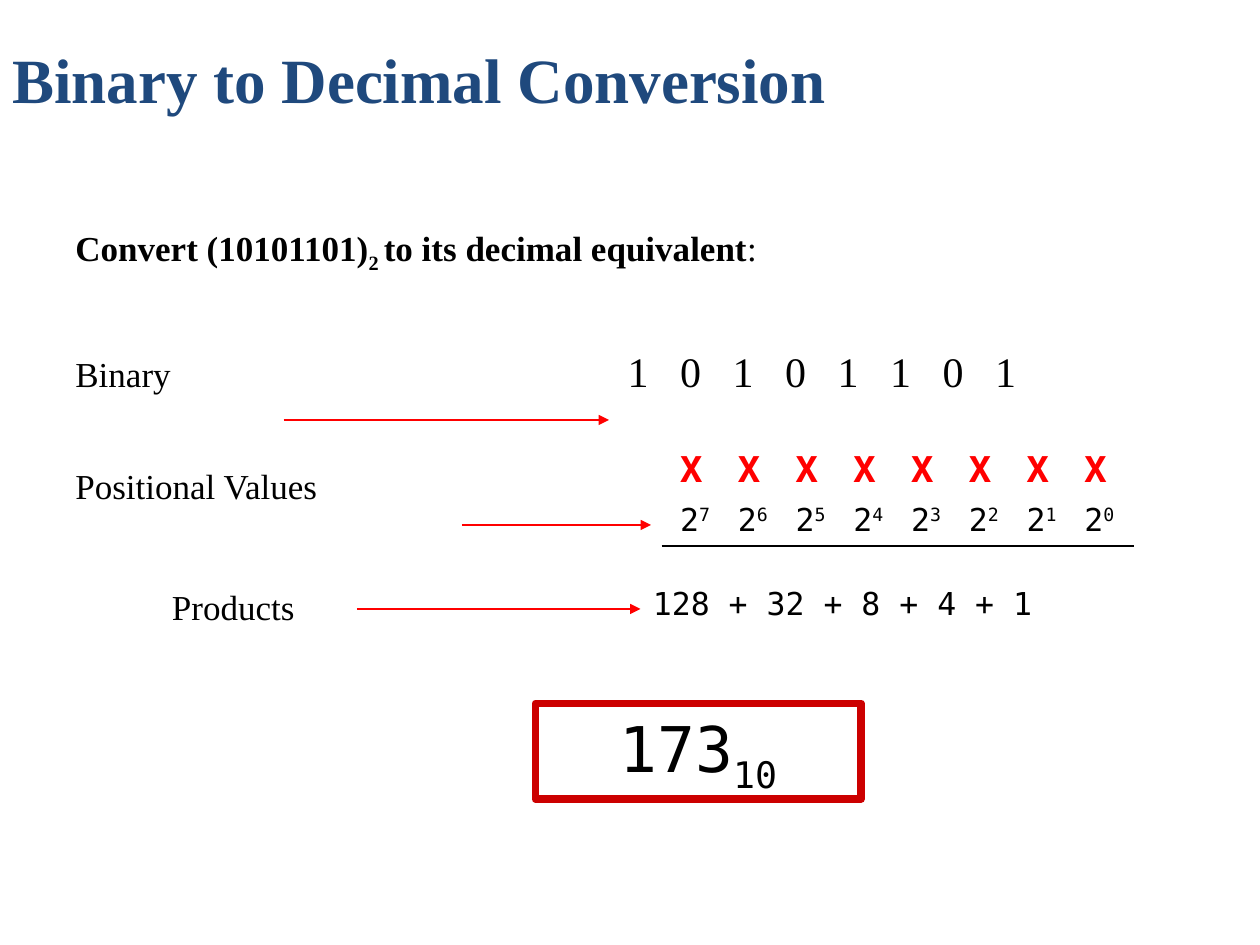
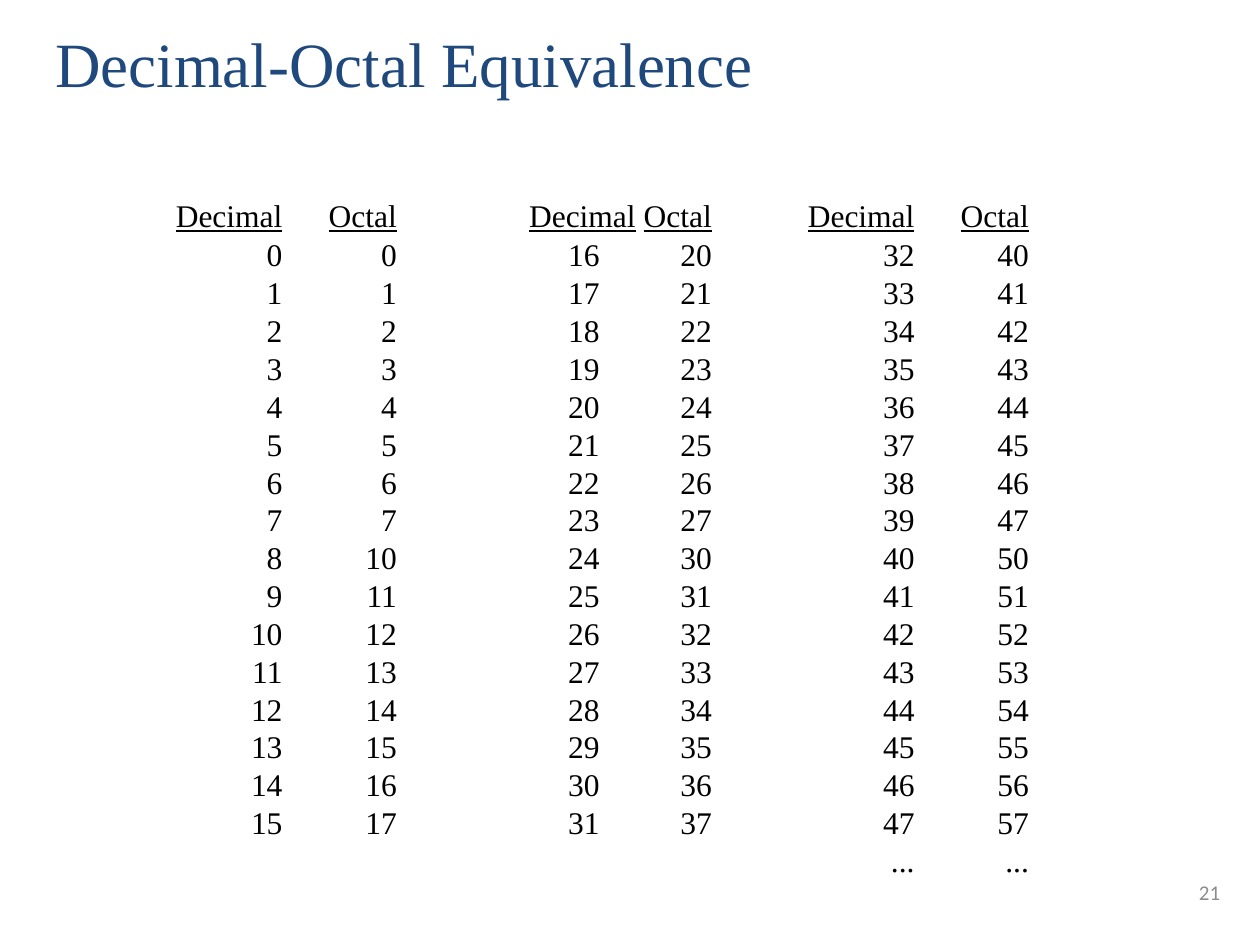
from dataclasses import dataclass

from lxml.etree import SubElement
from pptx import Presentation
from pptx.dml.color import RGBColor
from pptx.enum.shapes import MSO_CONNECTOR, MSO_SHAPE
from pptx.enum.text import MSO_ANCHOR, PP_ALIGN
from pptx.oxml.ns import qn
from pptx.util import Inches, Pt

SLIDE_WIDTH, SLIDE_HEIGHT = Inches(10), Inches(7.5)
GRID_COLUMNS = 120
UNIT = SLIDE_WIDTH / GRID_COLUMNS

SERIF = "Times New Roman"
MONO = "DejaVu Sans Mono"
NARROW = "Arial Narrow"
SANS = "Calibri"
NAVY, BLACK, RED, DARK_RED, GREY = "1F497D", "000000", "FF0000", "CC0000", "8C8C8C"

BITS = "10101101"
BIT_TAB_START, BIT_TAB_STEP = 52.6, 5
POWER_LEFT, POWER_STEP = 63.6, 5.5

TABLE_COLUMNS = (14.8, 12.4, 3, 27, 3, 14.8, 12.4)
HEADER_ROW, VALUE_ROW, LAST_ROW = 4.9, 3.6, 4.1
VALUES_PER_GROUP = 16
RIGHT_MARGINS = (0.9, 2.4, 0, 2.4, 0, 0.9, 2.4)


@dataclass(frozen=True)
class Style:
    font: str
    size: float
    color: str = BLACK
    bold: bool = False
    underline: bool = False
    baseline: int = 0


@dataclass(frozen=True)
class Span:
    text: str
    style: Style


@dataclass(frozen=True)
class Area:
    left: float
    top: float
    width: float
    height: float


@dataclass(frozen=True)
class Line:
    start: float
    end: float
    row: float
    color: str = RED
    arrow: bool = True


TITLE = Style(SERIF, 36, NAVY)
BOLD_TITLE = Style(SERIF, 36, NAVY, bold=True)
BODY = Style(SERIF, 20)
BOLD_BODY = Style(SERIF, 20, bold=True)
BASE_MARK = Style(SERIF, 20, bold=True, baseline=-25)
BIT = Style(SERIF, 24)
CROSS = Style(NARROW, 28, RED, bold=True)
CODE = Style(MONO, 18)
EXPONENT = Style(MONO, 18, baseline=30)
RESULT = Style(MONO, 36)
RESULT_BASE = Style(MONO, 36, baseline=-25)
CELL = Style(SERIF, 18)
HEADER = Style(SERIF, 18, underline=True)
PAGE_NUMBER = Style(SANS, 12, GREY)


def grid(units: float) -> int:
    return round(units * UNIT)


def rgb(value: str) -> RGBColor:
    return RGBColor.from_string(value)


def add_spans(para, *spans: Span) -> None:
    for item in spans:
        span = para.add_run()
        span.text = item.text
        font = span.font
        font.name = item.style.font
        font.size = Pt(item.style.size)
        font.bold = item.style.bold
        font.underline = item.style.underline
        font.color.rgb = rgb(item.style.color)
        if item.style.baseline:
            span._r.get_or_add_rPr().set("baseline", str(item.style.baseline * 1000))


def add_tabs(para, stops: list[float]) -> None:
    tabs = SubElement(para._p.get_or_add_pPr(), qn("a:tabLst"))
    for stop in stops:
        SubElement(tabs, qn("a:tab"), pos=str(grid(stop)), algn="l")


def add_text(page, area: Area, *spans: Span, align=PP_ALIGN.LEFT,
             anchor=MSO_ANCHOR.TOP, inset: bool = True):
    box = page.shapes.add_textbox(grid(area.left), grid(area.top),
                                  grid(area.width), grid(area.height))
    frame = box.text_frame
    frame.word_wrap = True
    frame.vertical_anchor = anchor
    if not inset:
        frame.margin_left = frame.margin_right = 0
        frame.margin_top = frame.margin_bottom = 0
    para = frame.paragraphs[0]
    para.alignment = align
    add_spans(para, *spans)
    return box


def add_line(page, line: Line):
    row = grid(line.row)
    connector = page.shapes.add_connector(
        MSO_CONNECTOR.STRAIGHT, grid(line.start), row, grid(line.end), row)
    connector.line.color.rgb = rgb(line.color)
    connector.line.width = Pt(1)
    if line.arrow:
        SubElement(connector.line._get_or_add_ln(), qn("a:tailEnd"), type="triangle")
    SubElement(connector._element.spPr, qn("a:effectLst"))
    return connector


def add_steps(page) -> None:
    box = add_text(page, Area(6, 21, 108, 59.4),
                   Span("Convert (10101101)", BOLD_BODY), Span("2 ", BASE_MARK),
                   Span("to its decimal equivalent", BOLD_BODY), Span(":", BODY))
    frame = box.text_frame
    frame.paragraphs[0].space_before = Pt(2)
    binary = frame.add_paragraph()
    binary.space_before = Pt(40.5)
    add_tabs(binary, [BIT_TAB_START + BIT_TAB_STEP * index for index in range(len(BITS))])
    add_spans(binary, Span("Binary", BODY), *(Span(f"\t{bit}", BIT) for bit in BITS))
    positional = frame.add_paragraph()
    positional.space_before = Pt(39.5)
    add_spans(positional, Span("Positional Values", BODY))


def add_result(page) -> None:
    box = page.shapes.add_shape(MSO_SHAPE.RECTANGLE, grid(51), grid(67), grid(31), grid(9.1))
    box.shadow.inherit = False
    box.fill.background()
    box.line.color.rgb = rgb(DARK_RED)
    box.line.width = Pt(4.5)
    box.text_frame.vertical_anchor = MSO_ANCHOR.TOP
    para = box.text_frame.paragraphs[0]
    para.alignment = PP_ALIGN.CENTER
    add_spans(para, Span("173", RESULT), Span("10", RESULT_BASE))


def build_conversion(page) -> None:
    add_text(page, Area(0, 0, 108, 15), Span("Binary to Decimal Conversion", BOLD_TITLE),
             anchor=MSO_ANCHOR.MIDDLE)
    add_steps(page)
    for index in range(len(BITS)):
        left = POWER_LEFT + POWER_STEP * index
        exponent = str(len(BITS) - 1 - index)
        add_text(page, Area(left, 40.7, 3, 6.8), Span("x", CROSS))
        add_text(page, Area(left, 47, 7, 6), Span("2", CODE), Span(exponent, EXPONENT))
    for line in (Line(27, 58, 40), Line(44, 62, 50), Line(63, 108, 52, BLACK, False)):
        add_line(page, line)
    products = add_text(page, Area(61, 55, 55, 6), Span("128 + 32 + 8 + 4 + 1", CODE))
    add_text(page, Area(15.2, 55.2, 21, 5.2), Span("Products", BODY))
    add_line(page, Line(34, 61, 58)).end_connect(products, 1)
    add_result(page)


def table_rows() -> list[list[list[Span]]]:
    decimal, octal = Span("Decimal", HEADER), Span("Octal", HEADER)
    rows = [[[decimal], [octal], [], [decimal, Span(" ", CELL), octal], [], [decimal], [octal]]]
    for first in range(VALUES_PER_GROUP):
        pairs = [(str(number), format(number, "o"))
                 for number in range(first, 3 * VALUES_PER_GROUP, VALUES_PER_GROUP)]
        low, middle, high = pairs
        texts = (*low, "", "\t".join(middle), "", *high)
        rows.append([[Span(text, CELL)] if text else [] for text in texts])
    rows.append([[]] * 5 + [[Span("...", CELL)]] * 2)
    return rows


def add_equivalence_table(page) -> None:
    rows = table_rows()
    heights = (HEADER_ROW, *[VALUE_ROW] * VALUES_PER_GROUP, LAST_ROW)
    table = page.shapes.add_table(
        len(rows), len(TABLE_COLUMNS), grid(13), grid(18),
        grid(sum(TABLE_COLUMNS)), grid(sum(heights))).table
    table.first_row = table.horz_banding = False
    for column, width in zip(table.columns, TABLE_COLUMNS):
        column.width = grid(width)
    for row_index, (height, contents) in enumerate(zip(heights, rows)):
        table.rows[row_index].height = grid(height)
        for column_index, spans in enumerate(contents):
            cell = table.cell(row_index, column_index)
            cell.fill.background()
            cell.margin_left = cell.margin_bottom = 0
            cell.margin_top = grid(1) if row_index == 0 else 0
            cell.margin_right = grid(RIGHT_MARGINS[column_index])
            para = cell.text_frame.paragraphs[0]
            para.alignment = PP_ALIGN.RIGHT
            if row_index:
                para.line_spacing = Pt(19)
                if column_index == 3 and spans:
                    add_tabs(para, [10.7])
            add_spans(para, *spans)


def build_equivalence(page) -> None:
    add_text(page, Area(0, 2.2, 77, 7.5), Span("Decimal-Octal Equivalence", TITLE),
             align=PP_ALIGN.CENTER, anchor=MSO_ANCHOR.MIDDLE, inset=False)
    add_equivalence_table(page)
    add_text(page, Area(113.2, 83.6, 3, 2.7), Span("21", PAGE_NUMBER),
             align=PP_ALIGN.RIGHT, anchor=MSO_ANCHOR.MIDDLE, inset=False)


def main() -> None:
    deck = Presentation()
    deck.slide_width, deck.slide_height = SLIDE_WIDTH, SLIDE_HEIGHT
    blank = deck.slide_layouts[6]
    for build in (build_conversion, build_equivalence):
        build(deck.slides.add_slide(blank))
    deck.save("out.pptx")


if __name__ == "__main__":
    main()
